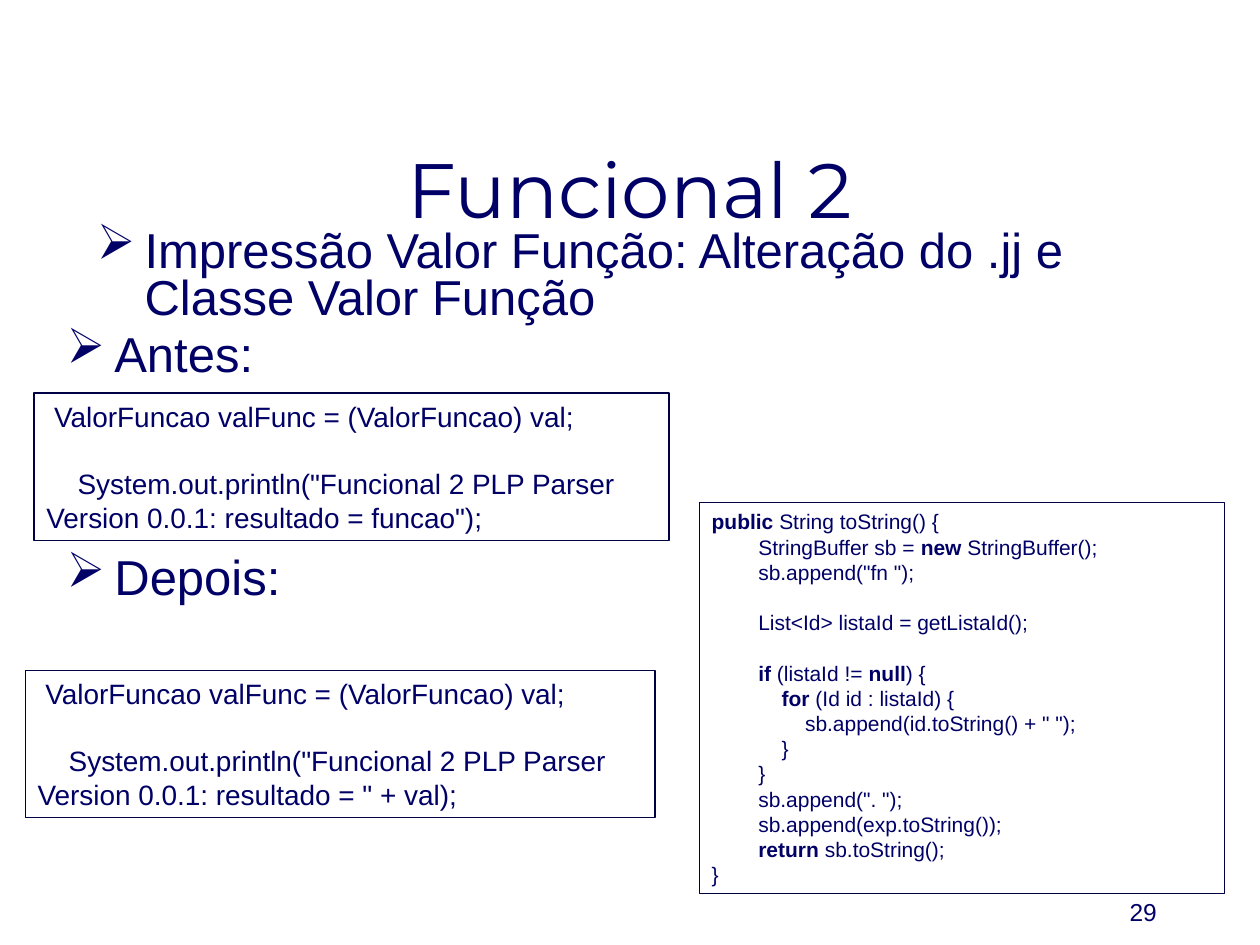
from lxml.etree import SubElement
from pptx import Presentation
from pptx.dml.color import RGBColor
from pptx.enum.shapes import MSO_SHAPE
from pptx.enum.text import MSO_ANCHOR, MSO_AUTO_SIZE, PP_ALIGN
from pptx.oxml.ns import qn
from pptx.util import Inches, Pt

COLORS = {"text": "000066", "border": "000044"}
SPACE_WIDTH = 0.278
LINE_HEIGHT = 1.2

BULLETS = [
    ("Impressão Valor Função: Alteração do .jj e Classe Valor Função", (0.67, 1.78, 8.66, 0.88), 0.8),
    ("Antes:", (0.43, 2.65, 1.73, 0.47), 0.7),
    ("Depois:", (0.43, 4.38, 2.28, 0.87), 0.8),
]

PRINT_CODE = """ ValorFuncao valFunc = (ValorFuncao) val;

    System.out.println("Funcional 2 PLP Parser Version 0.0.1: resultado = {});"""

TO_STRING_CODE = """public String toString() {
        StringBuffer sb = new StringBuffer();
        sb.append("fn ");

        List<Id> listaId = getListaId();

        if (listaId != null) {
            for (Id id : listaId) {
                sb.append(id.toString() + " ");
            }
        }
        sb.append(". ");
        sb.append(exp.toString());
        return sb.toString();
}"""

TO_STRING_KEYWORDS = {
    0: ["public"], 1: ["new"], 6: ["if", "null"], 7: ["for"], 13: ["return"],
}


def box(position):
    """Turn left, top, width and height in inches into lengths."""
    return [Inches(value) for value in position]


def style(run, size, font="Arial", bold=False):
    """Format one run of text."""
    run.font.size = Pt(size)
    run.font.name = font
    run.font.bold = bold
    run.font.color.rgb = RGBColor.from_string(COLORS["text"])


def add_title(slide, text):
    """Fill and place the title placeholder."""
    title = slide.shapes.title
    title.left, title.top, title.width, title.height = box((2.8, 1.07, 4.4, 0.84))
    frame = title.text_frame
    frame.text = text
    frame.auto_size = MSO_AUTO_SIZE.NONE
    frame.vertical_anchor = MSO_ANCHOR.MIDDLE
    frame.paragraphs[0].alignment = PP_ALIGN.CENTER
    style(frame.paragraphs[0].runs[0], 44, "Montserrat")


def add_text(slide, text, position, size):
    """Add a wrapping text box and return its frame."""
    frame = slide.shapes.add_textbox(*box(position)).text_frame
    frame.word_wrap = True
    frame.text = text
    style(frame.paragraphs[0].runs[0], size)
    return frame


def add_bullet(slide, text, position, line_spacing):
    """Add one topic with an arrow bullet."""
    topic = add_text(slide, text, position, 28).paragraphs[0]
    topic.line_spacing = line_spacing
    topic.space_before = Pt(7)
    properties = topic._p.get_or_add_pPr()
    properties.set("marL", str(Inches(0.38)))
    properties.set("indent", str(Inches(-0.38)))
    color = SubElement(properties, qn("a:buClr"))
    SubElement(color, qn("a:srgbClr"), val=COLORS["text"])
    SubElement(properties, qn("a:buChar"), char="➢")


def add_code_line(paragraph, line, size, keywords):
    """Write one indented line of code with bold keywords."""
    code = line.lstrip()
    indent = Pt((len(line) - len(code)) * SPACE_WIDTH * size)
    paragraph._p.get_or_add_pPr().set("indent", str(indent))
    paragraph.alignment = PP_ALIGN.LEFT
    for keyword in keywords:
        before, code = code.split(keyword, 1)
        for part, bold in ((before, False), (keyword, True)):
            if part:
                run = paragraph.add_run()
                run.text = part
                style(run, size, bold=bold)
    if code:
        run = paragraph.add_run()
        run.text = code
        style(run, size)


def add_code(slide, code, position, size, keywords):
    """Add a bordered listing, with spacing where the code skips a line."""
    listing = slide.shapes.add_shape(MSO_SHAPE.RECTANGLE, *box(position))
    listing.shadow.inherit = False
    listing.fill.background()
    listing.line.color.rgb = RGBColor.from_string(COLORS["border"])
    listing.line.width = Pt(0.75)
    frame = listing.text_frame
    frame.word_wrap = True
    frame.vertical_anchor = MSO_ANCHOR.TOP
    lines = code.split("\n")
    for number, line in enumerate(lines):
        if not line:
            continue
        paragraph = frame.add_paragraph() if number else frame.paragraphs[0]
        if number and not lines[number - 1]:
            paragraph.space_before = Pt(size * LINE_HEIGHT)
        add_code_line(paragraph, line, size, keywords.get(number, []))


def add_slide_number(slide, number):
    """Add the page number at the lower right."""
    frame = add_text(slide, number, (7.2, 6.9, 2.08, 0.5), 14)
    frame.vertical_anchor = MSO_ANCHOR.BOTTOM
    frame.paragraphs[0].alignment = PP_ALIGN.RIGHT


def main():
    """Build the slide and save it."""
    presentation = Presentation()
    presentation.slide_width, presentation.slide_height = Inches(10), Inches(7.5)
    slide = presentation.slides.add_slide(presentation.slide_layouts[5])
    add_title(slide, "Funcional 2")
    for text, position, line_spacing in BULLETS:
        add_bullet(slide, text, position, line_spacing)
    add_code(slide, PRINT_CODE.format('funcao"'), (0.27, 3.12, 5.04, 1.17), 16, {})
    add_code(slide, TO_STRING_CODE, (5.55, 3.99, 4.17, 3.1), 12, TO_STRING_KEYWORDS)
    add_code(slide, PRINT_CODE.format('" + val'), (0.2, 5.32, 5, 1.17), 16, {})
    add_slide_number(slide, "29")
    presentation.save("out.pptx")


if __name__ == "__main__":
    main()
